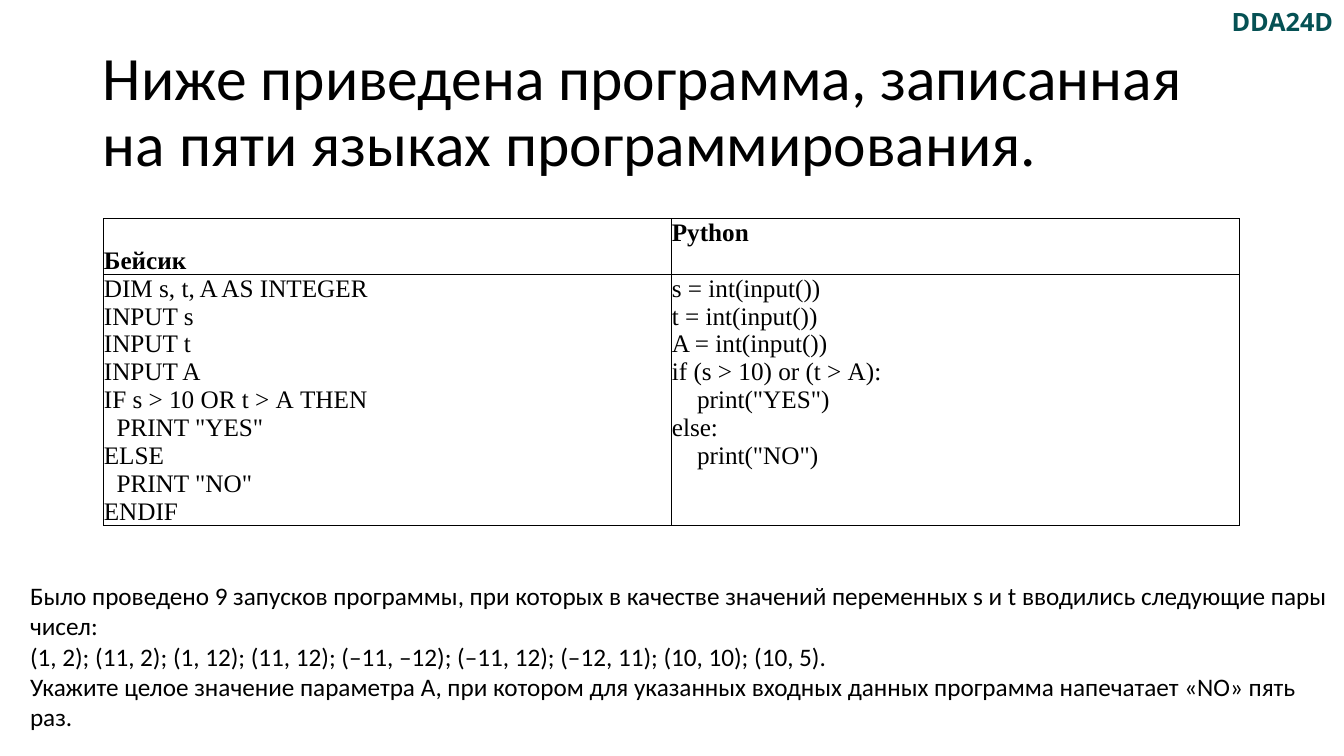
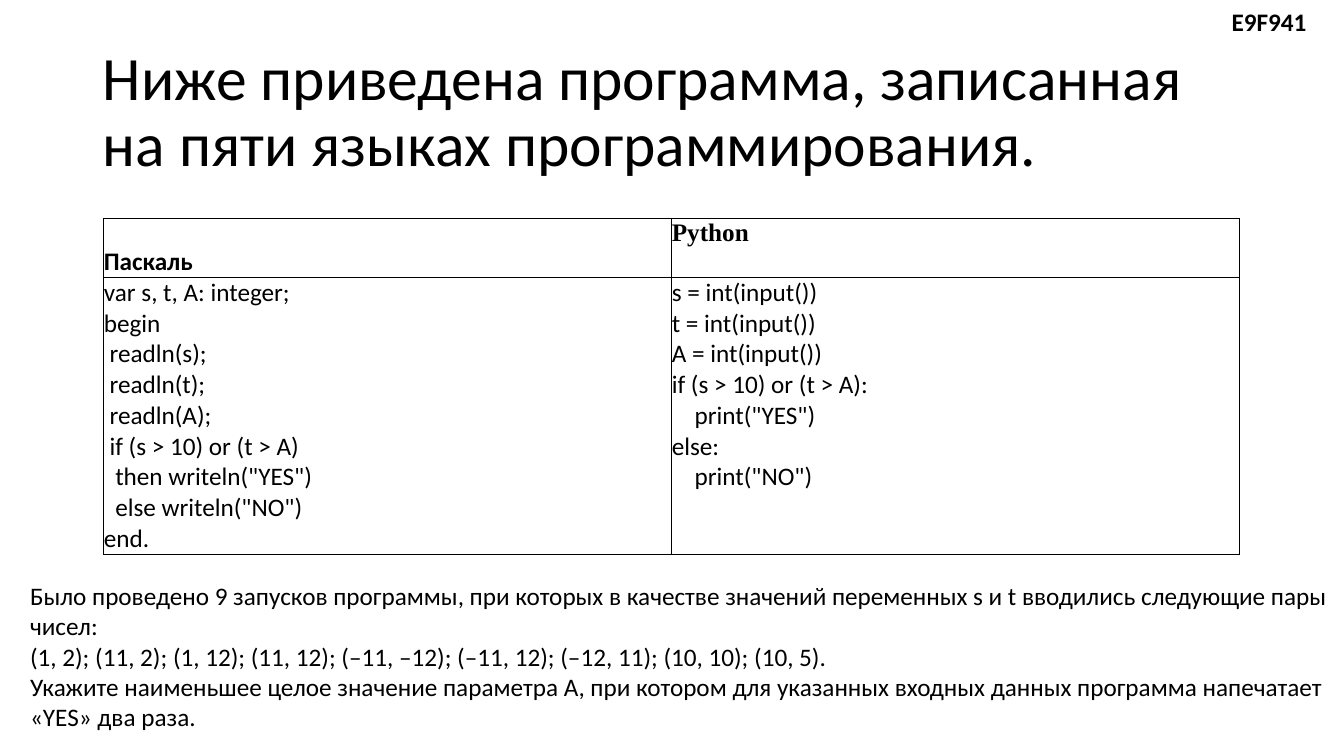
"""Build two slides with programming tasks: code tables and questions."""
from lxml import etree
from pptx import Presentation
from pptx.dml.color import RGBColor
from pptx.enum.text import MSO_ANCHOR, MSO_AUTO_SIZE, PP_ALIGN
from pptx.oxml.ns import qn
from pptx.util import Pt

TOP, MIDDLE, BOTTOM = MSO_ANCHOR.TOP, MSO_ANCHOR.MIDDLE, MSO_ANCHOR.BOTTOM
LEFT, JUSTIFY = PP_ALIGN.LEFT, PP_ALIGN.JUSTIFY
FIXED, GROW = MSO_AUTO_SIZE.NONE, MSO_AUTO_SIZE.SHAPE_TO_FIT_TEXT
TITLE_ONLY = 5

COLORS = {"text": "000000", "border": "000000", "teal": "055154"}
SANS, SERIF, LABEL = "Calibri", "Times New Roman", "Open Sans"
SPACE_WIDTHS = {SANS: 4.07, SERIF: 4.5}
TITLE_SIZE, TEXT_SIZE = 44, 18

TITLE = "Ниже приведена программа, записанная на пяти языках программирования."
RUNS = [
    "Было проведено 9 запусков программы, при которых в качестве значений "
    "переменных s и t вводились следующие пары чисел:",
    "(1, 2); (11, 2); (1, 12); (11, 12); (–11, –12); (–11, 12); (–12, 11); "
    "(10, 10); (10, 5).",
]
BASIC = """DIM s, t, A AS INTEGER
INPUT s
INPUT t
INPUT A
IF s > 10 OR t > А THEN
  PRINT "YES"
ELSE
  PRINT "NO"
ENDIF"""
PASCAL = """var s, t, A: integer;
begin
 readln(s);
 readln(t);
 readln(A);
 if (s > 10) or (t > A)
  then writeln("YES")
  else writeln("NO")
end."""
PYTHON = """s = int(input())
t = int(input())
A = int(input())
if (s > 10) or (t > {limit}):
    print("YES")
else:
    print("NO")"""


class TaskDeck:
    """Hold the shared style and the current slide."""

    def __init__(self):
        self.deck = Presentation()
        self.deck.slide_width, self.deck.slide_height = Pt(960), Pt(540)
        self.page = None

    def add_page(self, title):
        self.page = self.deck.slides.add_slide(self.deck.slide_layouts[TITLE_ONLY])
        box = self.page.shapes.title
        box.left, box.top, box.width, box.height = Pt(66.25), Pt(28.75), Pt(828), Pt(104.4)
        frame = box.text_frame
        frame.text = title
        frame.vertical_anchor = MIDDLE
        frame.auto_size = FIXED
        frame.paragraphs[0].line_spacing = 0.9
        self.format_text(frame, SANS, size=TITLE_SIZE)

    def format_text(self, frame, font, size=TEXT_SIZE, bold=False, color="text", align=LEFT):
        for para in frame.paragraphs:
            para.alignment = align
            for span in para.runs:
                span.font.name = font
                span.font.size = Pt(size)
                span.font.bold = bold
                span.font.color.rgb = RGBColor.from_string(COLORS[color])

    def add_text(self, place, lines, font=SANS, wrap=True, **style):
        box = self.page.shapes.add_textbox(*map(Pt, place))
        frame = box.text_frame
        frame.text = "\n".join(lines)
        frame.word_wrap = wrap
        frame.auto_size = GROW
        self.format_text(frame, font, **style)

    def add_borders(self, cell):
        properties = cell._tc.get_or_add_tcPr()
        for side in ("a:lnL", "a:lnR", "a:lnT", "a:lnB"):
            line = etree.SubElement(properties, qn(side), w=str(Pt(1)))
            fill = etree.SubElement(line, qn("a:solidFill"))
            etree.SubElement(fill, qn("a:srgbClr"), val=COLORS["border"])

    def fill_cell(self, cell, text, font, anchor=TOP, **style):
        self.add_borders(cell)
        cell.fill.background()
        cell.margin_left = cell.margin_right = cell.margin_top = cell.margin_bottom = 0
        cell.vertical_anchor = anchor
        lines = text.split("\n")
        cell.text_frame.text = "\n".join(line.lstrip() for line in lines)
        for para, line in zip(cell.text_frame.paragraphs, lines):
            indent = len(line) - len(line.lstrip())
            if indent:
                properties = para._p.get_or_add_pPr()
                properties.set("marL", str(Pt(indent * SPACE_WIDTHS[font])))
        self.format_text(cell.text_frame, font, **style)

    def add_code_table(self, language, programs, font, align, heights):
        place = map(Pt, (74.2, 156.2, 811.4, sum(heights)))
        table = self.page.shapes.add_table(2, 2, *place).table
        table.first_row = table.horz_banding = False
        for row, height in zip(table.rows, heights):
            row.height = Pt(height)
        headers = ((language, font, BOTTOM), ("Python", SERIF, TOP))
        for column, (name, header_font, anchor) in enumerate(headers):
            self.fill_cell(table.cell(0, column), name, header_font, anchor,
                           bold=True, align=JUSTIFY)
            self.fill_cell(table.cell(1, column), programs[column], font, align=align)

    def add_task(self, code, code_style, table, question):
        self.add_page(TITLE)
        self.add_code_table(**table)
        self.add_text((872.6, 0.7, 87, 29), [code], wrap=False, bold=True, **code_style)
        self.add_text((14.4, 411.1, 945.4, 116.6), RUNS + [question])


def main():
    tasks = TaskDeck()
    tasks.add_task(
        "DDA24D", {"font": LABEL, "color": "teal"},
        {"language": "Бейсик", "programs": (BASIC, PYTHON.format(limit="А")),
         "font": SERIF, "align": JUSTIFY, "heights": (40, 179)},
        "Укажите целое значение параметра А, при котором для указанных входных "
        "данных программа напечатает «NO» пять раз.")
    tasks.add_task(
        "E9F941", {"font": SANS},
        {"language": "Паскаль", "programs": (PASCAL, PYTHON.format(limit="A")),
         "font": SANS, "align": LEFT, "heights": (42, 197)},
        "Укажите наименьшее целое значение параметра А, при котором для указанных "
        "входных данных программа напечатает «YES» два раза.")
    tasks.deck.save("out.pptx")


if __name__ == "__main__":
    main()
